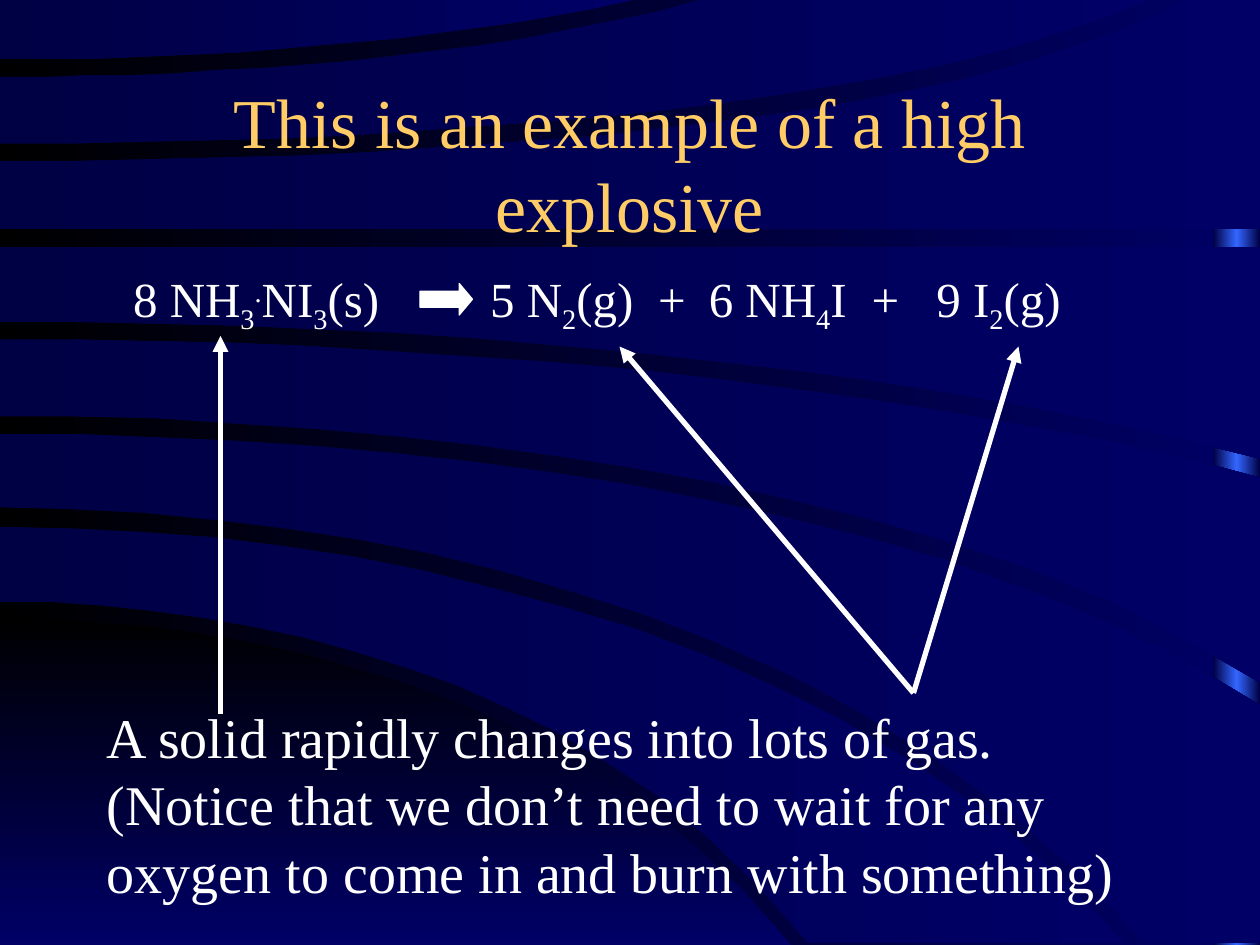
from copy import deepcopy
from typing import NamedTuple

from pptx import Presentation
from pptx.dml.color import RGBColor
from pptx.enum.shapes import MSO_CONNECTOR, MSO_SHAPE
from pptx.enum.text import MSO_ANCHOR, PP_ALIGN
from pptx.oxml.ns import qn
from pptx.oxml.xmlchemy import OxmlElement
from pptx.util import Pt

COLOURS = {"black": "000000", "night": "000044", "navy": "000066",
           "glow": "3366FF", "gold": "FFCC66", "white": "FFFFFF"}
FONT = "Times New Roman"
WIDTH, HEIGHT = 720, 540
CURVE_STEPS = 16


class Edge(NamedTuple):
    """A curve that leaves the left side level and bends towards its end."""
    start_y: float
    end_x: float
    end_y: float
    bend: float = 0

    def points(self):
        for step in range(CURVE_STEPS + 1):
            t = step / CURVE_STEPS
            rise = t ** 2 * (1 - self.bend + self.bend * t ** 4)
            yield self.end_x * t, self.start_y + (self.end_y - self.start_y) * rise


# Upper and lower edge of each band, from back to front
DOME = (Edge(353.5, 452, HEIGHT, 0.25), Edge(HEIGHT, 452, HEIGHT))
BANDS = [
    (Edge(301, 643, 539, 0.25), Edge(343.5, 462, 539, 0.25)),
    (Edge(247.7, WIDTH, 403, 0.25), Edge(290, 654, 539, 0.25)),
    (Edge(193.7, WIDTH, 273, 0.12), Edge(237.6, WIDTH, 390, 0.25)),
    (Edge(141, WIDTH, 141), Edge(183.6, WIDTH, 262, 0.12)),
    (Edge(92, 679, 0, 0.4), Edge(131, WIDTH, 131)),
    (Edge(44, 400, 0, 0.15), Edge(82, 658, 0, 0.33)),
    (Edge(0, 361, 0), Edge(34, 361, 0, 0.12)),
]

# Text and baseline shift in percent; tabs lead to EQUATION_TABS
EQUATION = [("8 NH", 0), ("3", -25), (".", 30), ("NI", 0), ("3", -25),
            ("(s)\t5 N", 0), ("2", -25), ("(g)\t+\t6 NH", 0), ("4", -25),
            ("I\t+\t9 I", 0), ("2", -25), ("(g)", 0)]
EQUATION_TABS = [204, 300, 329, 422, 459]


def colour(name):
    return RGBColor.from_string(COLOURS[name])


def fill_gradient(owner, element, names, angle=0):
    """Spread the named colours evenly; the angle runs anticlockwise."""
    owner.fill.gradient()
    owner.fill.gradient_angle = angle
    stop_list = next(element.iter(qn("a:gsLst")))
    while len(stop_list) < len(names):
        stop_list.append(deepcopy(stop_list[0]))
    for index, (stop, name) in enumerate(zip(owner.fill.gradient_stops, names)):
        stop.color.rgb = colour(name)
        stop.position = index / (len(names) - 1)


def finish_backdrop_shape(shape, names, angle=0):
    fill_gradient(shape, shape._element, names, angle)
    shape.line.fill.background()
    shape.shadow.inherit = False


def add_band(page, edges, names, angle=0):
    upper, lower = edges
    shorter, longer = sorted(edges, key=lambda edge: edge.end_x)
    corner = (longer.end_x, shorter.end_y)
    points = [*upper.points(), corner, *reversed(list(lower.points()))]
    builder = page.shapes.build_freeform(*points[0], scale=Pt(1))
    builder.add_line_segments(points[1:], close=True)
    finish_backdrop_shape(builder.convert_to_shape(), names, angle)


def add_backdrop(page):
    fill_gradient(page.background, page._element, ["black", "navy"])
    strip_width = 26.64
    strip = page.shapes.add_shape(MSO_SHAPE.RECTANGLE, Pt(WIDTH - strip_width), 0,
                                  Pt(strip_width), Pt(HEIGHT))
    finish_backdrop_shape(strip, ["night", "glow", "night"])
    add_band(page, DOME, ["black", "navy"], 270)
    for edges in BANDS:
        add_band(page, edges, ["night", "navy"])


def add_text(page, box, spans, size, name, align=PP_ALIGN.LEFT,
             anchor=MSO_ANCHOR.TOP, tabs=()):
    frame = page.shapes.add_textbox(*map(Pt, box)).text_frame
    frame.word_wrap = True
    frame.vertical_anchor = anchor
    para = frame.paragraphs[0]
    para.alignment = align
    if tabs:
        tab_list = OxmlElement("a:tabLst")
        for position in tabs:
            tab = OxmlElement("a:tab")
            tab.set("pos", str(Pt(position)))
            tab.set("algn", "l")
            tab_list.append(tab)
        para._p.get_or_add_pPr().append(tab_list)
    for text, shift in spans:
        span = para.add_run()
        span.text = text
        for key, value in {"name": FONT, "size": Pt(size)}.items():
            setattr(span.font, key, value)
        span.font.color.rgb = colour(name)
        if shift:
            span._r.get_or_add_rPr().set("baseline", str(shift * 1000))


def add_equation(page, box):
    left, top, _, _ = box
    add_text(page, box, EQUATION, 28, "white", tabs=EQUATION_TABS)
    arrow = page.shapes.add_shape(MSO_SHAPE.RIGHT_ARROW, Pt(left + 171),
                                  Pt(top + 12), Pt(30), Pt(18))
    arrow.adjustments[1] = 0.42
    arrow.fill.solid()
    arrow.fill.fore_color.rgb = colour("white")
    arrow.line.color.rgb = colour("white")
    arrow.line.width = Pt(0.75)
    arrow.shadow.inherit = False


def add_pointer(page, start, end):
    pointer = page.shapes.add_connector(MSO_CONNECTOR.STRAIGHT,
                                        *map(Pt, start + end))
    pointer.line.color.rgb = colour("white")
    pointer.line.width = Pt(3)
    head = OxmlElement("a:tailEnd")
    head.set("type", "triangle")
    pointer.line._get_or_add_ln().append(head)
    pointer._element.spPr.append(OxmlElement("a:effectLst"))


def main():
    deck = Presentation()
    deck.slide_width, deck.slide_height = Pt(WIDTH), Pt(HEIGHT)
    page = deck.slides.add_slide(deck.slide_layouts[6])
    add_backdrop(page)
    add_text(page, (54, 48, 612, 90),
             [("This is an example of a high explosive", 0)], 40, "gold",
             PP_ALIGN.CENTER, MSO_ANCHOR.MIDDLE)
    add_equation(page, (69, 150, 615, 66))
    add_text(page, (54, 398, 618, 122),
             [("A solid rapidly changes into lots of gas. (Notice that we don’t "
               "need to wait for any oxygen to come in and burn with something)",
               0)], 32, "white")
    add_pointer(page, (126, 408), (126, 192))
    for gas in [(354, 198), (582, 198)]:
        add_pointer(page, (522, 396), gas)
    deck.save("out.pptx")


if __name__ == "__main__":
    main()
